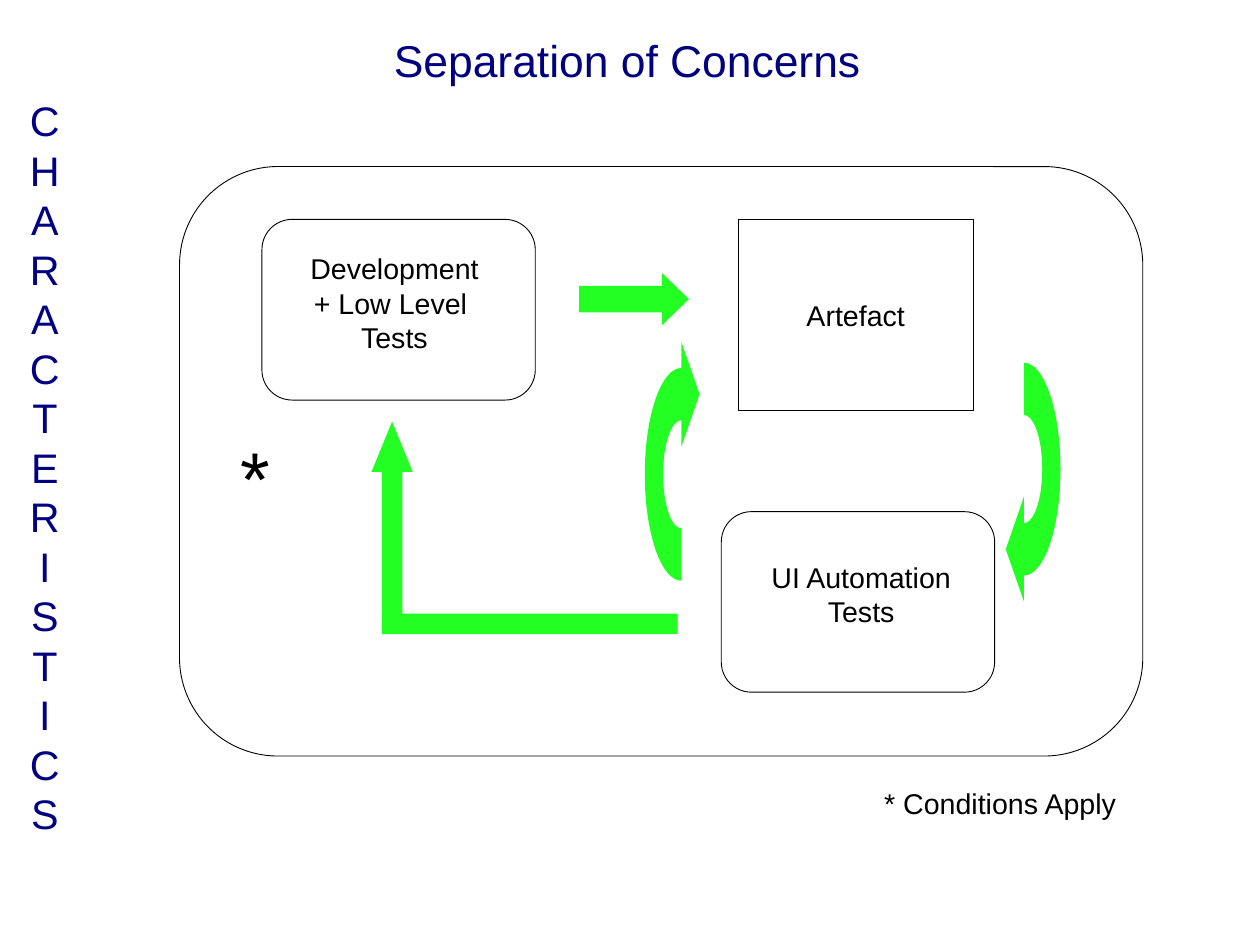
import math

import pptx
import pptx.dml.color
import pptx.enum.shapes
import pptx.enum.text
import pptx.util

Pt = pptx.util.Pt
MSO_SHAPE = pptx.enum.shapes.MSO_SHAPE
PP_ALIGN = pptx.enum.text.PP_ALIGN
MSO_ANCHOR = pptx.enum.text.MSO_ANCHOR
MSO_AUTO_SIZE = pptx.enum.text.MSO_AUTO_SIZE

NAVY = pptx.dml.color.RGBColor(0x00, 0x00, 0x80)
BLACK = pptx.dml.color.RGBColor(0x00, 0x00, 0x00)
GREEN = pptx.dml.color.RGBColor(0x23, 0xFF, 0x23)

FONT = "Arial"
OUTLINE = 0.57
CORNER = 0.167
ARC_STEPS = 32


def write_lines(frame, lines, size, color, align):
    frame.text = "\n".join(lines)
    for paragraph in frame.paragraphs:
        paragraph.alignment = align
        for run in paragraph.runs:
            run.font.name = FONT
            run.font.size = Pt(size)
            run.font.color.rgb = color


def add_label(slide, box, lines, size=18, color=BLACK, align=PP_ALIGN.CENTER, wrap=True):
    frame = slide.shapes.add_textbox(*map(Pt, box)).text_frame
    frame.word_wrap = wrap
    frame.auto_size = MSO_AUTO_SIZE.SHAPE_TO_FIT_TEXT
    write_lines(frame, lines, size, color, align)


def add_outline(slide, kind, box):
    outline = slide.shapes.add_shape(kind, *map(Pt, box))
    outline.shadow.inherit = False
    outline.fill.background()
    outline.line.color.rgb = BLACK
    outline.line.width = Pt(OUTLINE)
    if kind == MSO_SHAPE.ROUNDED_RECTANGLE:
        outline.adjustments[0] = CORNER
    return outline


def paint_green(shape):
    shape.shadow.inherit = False
    shape.fill.solid()
    shape.fill.fore_color.rgb = GREEN
    shape.line.fill.background()


def add_green_shape(slide, kind, box, adjustments=()):
    shape = slide.shapes.add_shape(kind, *map(Pt, box))
    for index, value in enumerate(adjustments):
        shape.adjustments[index] = value
    paint_green(shape)


def add_cycle_arrow(slide, x, y, turn):
    """Half-ring arrow around (x, y): turn 1 bulges left and points right, -1 is its half turn."""
    def half_ellipse(radius_x, radius_y, start, end):
        angles = (start + (end - start) * step / ARC_STEPS for step in range(ARC_STEPS + 1))
        return [(-radius_x * math.cos(a), -radius_y * math.sin(a)) for a in angles]

    top, bottom = math.pi / 2, -math.pi / 2
    inner = half_ellipse(11.5, 34, top, bottom)
    outer = half_ellipse(23, 67, bottom, top)
    head = [(0, -83.5), (11.5, -50.5), (0, -17.3)]
    points = [(Pt(x + turn * dx), Pt(y + turn * dy)) for dx, dy in inner + outer + head]
    builder = slide.shapes.build_freeform(*points[0], scale=1.0)
    builder.add_line_segments(points[1:], close=True)
    paint_green(builder.convert_to_shape())


def main():
    deck = pptx.Presentation()
    deck.slide_width, deck.slide_height = Pt(793.75), Pt(595.25)
    slide = deck.slides.add_slide(deck.slide_layouts[6])

    add_label(slide, (11.4, 56.6, 33.8, 445), ["C", "HARACTERISTICS"], 26, NAVY)
    add_label(slide, (241, 17.2, 308.9, 38.2), ["Separation of Concerns"], 28, NAVY,
              PP_ALIGN.LEFT, wrap=False)

    add_outline(slide, MSO_SHAPE.ROUNDED_RECTANGLE, (113.1, 104.9, 606.8, 371.3))
    add_green_shape(slide, MSO_SHAPE.RIGHT_ARROW, (364.9, 171.9, 69.1, 33.1), (0.5, 0.515))

    artefact = add_outline(slide, MSO_SHAPE.RECTANGLE, (465, 138.2, 148.1, 120.2))
    artefact.text_frame.word_wrap = False
    artefact.text_frame.vertical_anchor = MSO_ANCHOR.MIDDLE
    write_lines(artefact.text_frame, ["Artefact"], 18, BLACK, PP_ALIGN.CENTER)

    add_outline(slide, MSO_SHAPE.ROUNDED_RECTANGLE, (454.4, 322.3, 172.2, 113.7))
    add_label(slide, (465.1, 349, 154.8, 56.2), ["UI Automation", "Tests"])
    add_outline(slide, MSO_SHAPE.ROUNDED_RECTANGLE, (165, 138.2, 172.2, 113.8))
    add_label(slide, (175.4, 154.8, 146.2, 80), ["Development", "+ Low Level ", "Tests"])

    add_cycle_arrow(slide, 429.2, 298.8, 1)
    add_green_shape(slide, MSO_SHAPE.RECTANGLE, (240.5, 386.5, 186.5, 12.9))
    add_green_shape(slide, MSO_SHAPE.UP_ARROW, (234, 265.6, 26, 127.4), (0.5, 1.22))
    add_cycle_arrow(slide, 645.1, 295.5, -1)

    add_label(slide, (549.9, 491.5, 164.2, 27.4), ["* Conditions Apply"], align=PP_ALIGN.LEFT)
    add_label(slide, (144.5, 267.7, 42.5, 60.5), ["*"], 48, align=PP_ALIGN.LEFT)

    deck.save("out.pptx")


if __name__ == "__main__":
    main()
